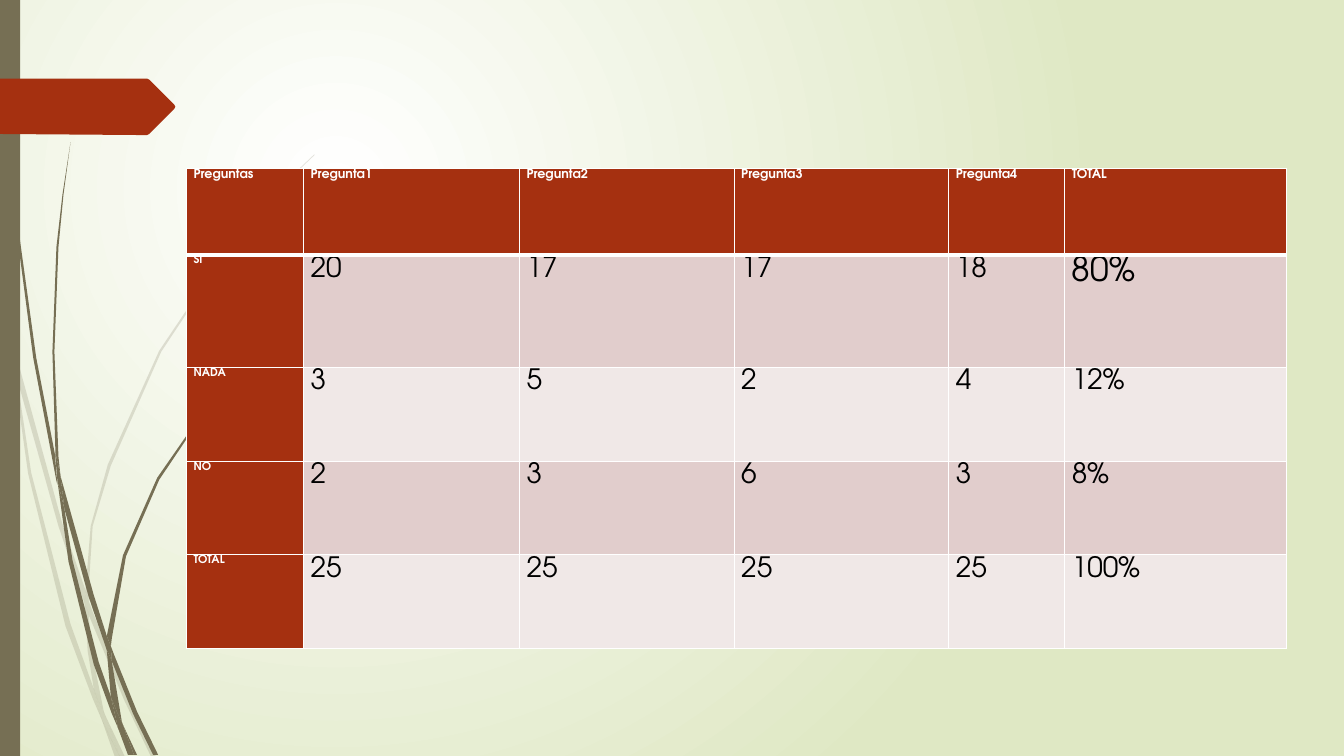
import pptx
import pptx.dml.color
import pptx.enum.shapes
import pptx.enum.text
import pptx.oxml
import pptx.util
from lxml import etree

Cm = pptx.util.Cm
DRAWING = "http://schemas.openxmlformats.org/drawingml/2006/main"
HUNDREDTH_INCH = Cm(0.0254)

OLIVE = "766F54"
RED = "A53010"
WHITE = "FFFFFF"
BLACK = "000000"
PALE_GREEN = "DFE8C4"
BANDS = ["E1CDCC", "F0E8E7"]

PALE_BLADES = [
    "11,350 9,322 0,282 0,299 10,344",
    "58,522 84,599 85,586 62,520 14,345 17,376",
    "92,607 88,596 88,610 123,694 150,751 155,751 127,692",
    "119,751 124,751 105,711",
    "93,683 70,619 31,469 17,376 11,350 28,470 65,621 92,693 101,714 99,707",
    "84,599 87,646 93,683 96,692 105,711 103,706 91,646 88,610 88,608",
    "88,584 92,522 110,462 160,349 229,245 268,198 290,175 312,154 312,153 289,175 "
    "268,197 228,244 158,348 107,461 90,522 85,584 85,586 88,596",
    "101,714 114,751 119,751",
    "88,608 88,610 88,596 85,586 84,599",
    "96,692 93,683 99,707 101,714 119,751 105,711",
]
DARK_BLADES = [
    "7,110 17,233 33,355 56,477 57,481 55,457 55,453 36,355 19,232 8,109 5,48 4,0 3,0 4,48",
    "88,592 106,645 106,633 106,631 93,590 60,472 64,505",
    "113,649 110,641 111,656 132,708 152,749 157,749 136,706",
    "110,691 98,657 72,556 64,505 57,477 68,557 93,659 111,708 117,722 116,717",
    "60,472 58,453 54,349 58,245 63,193 70,141 69.6,141 62,193 56,245 52,349 55,449 59.6,472",
    "133,749 136,749 122,719",
    "57,477 64,505 60,472 59.6,472 55,449 55,453",
    "111,633 125,552 158,476 205,406 231,374 245,359 261,344 260,344 245,358 231,373 "
    "204,405 156,474 122,551 106,631 110,641",
    "117,722 127,749 131,749",
    "106,645 110,691 116,706 122,719 121,716 111,656 109,651",
    "106,645 109,651 111,656 110,641 106,631 106,633",
    "116,706 110,691 116,717 117,722 130,749 133,749 122,719",
]
ARROW = "0,78 136,78 146,78 148,79 173,104 174,106 173,108 148,133 146,134 136,134 0,133"

COLUMN_WIDTHS = [2.95, 5.44, 5.41, 5.41, 2.92, 5.59]
ROW_HEIGHTS = [2.18, 2.84, 2.36, 2.36, 2.36]
ANSWERS = [
    ["Preguntas", "Pregunta1", "Pregunta2", "Pregunta3", "Pregunta4", "TOTAL"],
    ["SI", "20", "17", "17", "18", "80%"],
    ["NADA", "3", "5", "2", "4", "12%"],
    ["NO", "2", "3", "6", "3", "8%"],
    ["TOTAL", "25", "25", "25", "25", "100%"],
]


def color(value):
    return pptx.dml.color.RGBColor.from_string(value)


class SlideBuilder:
    font_name = "TeX Gyre Adventor"

    def __init__(self, slide):
        self.slide = slide

    def background(self, center, edge):
        fill = self.slide.background.fill
        fill.gradient()
        for stop, value in zip(fill.gradient_stops, [center, edge]):
            stop.color.rgb = color(value)
        linear = self.slide._element.find(f".//{{{DRAWING}}}lin")
        circle = pptx.oxml.parse_xml(
            f'<a:path xmlns:a="{DRAWING}" path="circle">'
            '<a:fillToRect l="50000" t="50000" r="100000" b="100000"/></a:path>'
        )
        linear.getparent().replace(linear, circle)

    def paint(self, shape, fill, opacity=100):
        shape.shadow.inherit = False
        shape.fill.solid()
        shape.fill.fore_color.rgb = color(fill)
        shape.line.fill.background()
        if opacity < 100:
            value = shape._element.find(f".//{{{DRAWING}}}srgbClr")
            etree.SubElement(value, f"{{{DRAWING}}}alpha", val=str(opacity * 1000))

    def rectangle(self, left, top, width, height, fill):
        shape = self.slide.shapes.add_shape(
            pptx.enum.shapes.MSO_SHAPE.RECTANGLE, Cm(left), Cm(top), Cm(width), Cm(height)
        )
        self.paint(shape, fill)

    def outline(self, points, fill, opacity=100):
        start, *others = [tuple(map(float, point.split(","))) for point in points.split()]
        builder = self.slide.shapes.build_freeform(*start, scale=HUNDREDTH_INCH)
        builder.add_line_segments(others, close=True)
        shape = builder.convert_to_shape()
        self.paint(shape, fill, opacity)
        return shape

    def blades(self, outlines, fill, opacity=100):
        shapes = [self.outline(points, fill, opacity) for points in outlines]
        self.slide.shapes.add_group_shape(shapes)

    def border(self, cell, side, width):
        properties = cell._tc.get_or_add_tcPr()
        line = etree.SubElement(
            properties, f"{{{DRAWING}}}{side}", w=str(pptx.util.Pt(width))
        )
        solid = etree.SubElement(line, f"{{{DRAWING}}}solidFill")
        etree.SubElement(solid, f"{{{DRAWING}}}srgbClr", val=WHITE)

    def cell(self, cell, text, size, text_color, bold, fill, top, bottom):
        for side, width in [("lnL", 1), ("lnR", 1), ("lnT", top), ("lnB", bottom)]:
            self.border(cell, side, width)
        cell.fill.solid()
        cell.fill.fore_color.rgb = color(fill)
        cell.margin_left = cell.margin_right = Cm(0.18)
        cell.margin_top = cell.margin_bottom = 0
        cell.vertical_anchor = pptx.enum.text.MSO_ANCHOR.TOP
        cell.text = text
        paragraph = cell.text_frame.paragraphs[0]
        paragraph.line_spacing = 1.07
        paragraph.font.name = self.font_name
        paragraph.font.size = pptx.util.Pt(size)
        paragraph.font.bold = bold
        paragraph.font.color.rgb = color(text_color)

    def table(self, left, top, widths, heights, rows):
        table = self.slide.shapes.add_table(
            len(heights), len(widths), Cm(left), Cm(top), Cm(sum(widths)), Cm(sum(heights))
        ).table
        for column, width in zip(table.columns, widths):
            column.width = Cm(width)
        for row, height in zip(table.rows, heights):
            row.height = Cm(height)
        for i, texts in enumerate(rows):
            for j, text in enumerate(texts):
                heading = i == 0 or j == 0
                if heading:
                    size = 9 if i == 0 else 8
                else:
                    size = 24 if text == "80%" else 20
                self.cell(
                    table.cell(i, j),
                    text,
                    size,
                    WHITE if heading else BLACK,
                    heading,
                    RED if heading else BANDS[(i - 1) % 2],
                    top=3 if i == 1 else 1,
                    bottom=3 if i == 0 else 1,
                )


def main():
    presentation = pptx.Presentation()
    presentation.slide_width = Cm(33.87)
    presentation.slide_height = Cm(19.05)
    builder = SlideBuilder(presentation.slides.add_slide(presentation.slide_layouts[6]))
    builder.background(WHITE, PALE_GREEN)
    builder.blades(PALE_BLADES, OLIVE, opacity=20)
    builder.blades(DARK_BLADES, OLIVE)
    builder.rectangle(0, 0, 0.51, 19.05, OLIVE)
    builder.outline(ARROW, RED)
    builder.table(4.7, 4.24, COLUMN_WIDTHS, ROW_HEIGHTS, ANSWERS)
    presentation.save("out.pptx")


if __name__ == "__main__":
    main()
